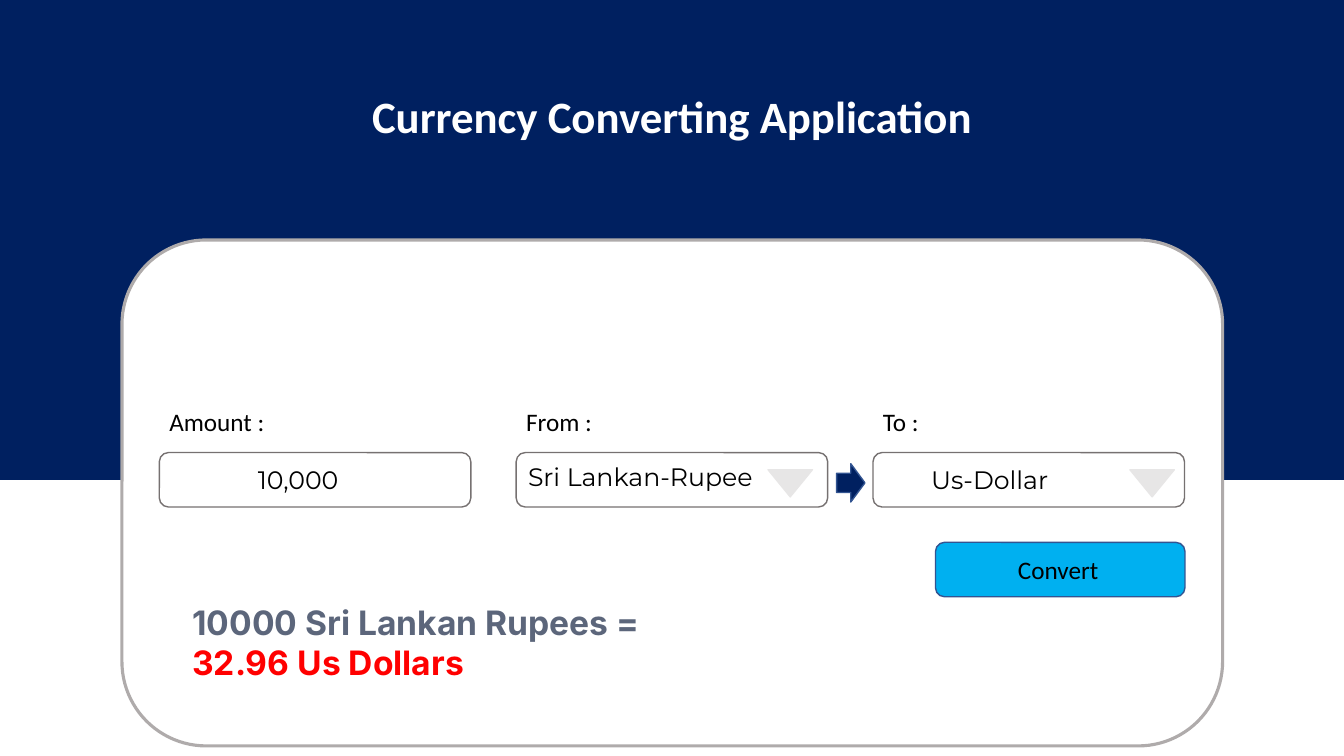
from dataclasses import dataclass
from typing import Any

import pptx
import pptx.dml.color
import pptx.enum.shapes
import pptx.enum.text
import pptx.util

Pt = pptx.util.Pt
RGBColor = pptx.dml.color.RGBColor
Preset = pptx.enum.shapes.MSO_SHAPE
Align = pptx.enum.text.PP_ALIGN

NAVY = RGBColor(0x00, 0x20, 0x60)
WHITE = RGBColor(0xFF, 0xFF, 0xFF)
BLACK = RGBColor(0x00, 0x00, 0x00)
CARD_EDGE = RGBColor(0xAF, 0xAB, 0xAB)
FIELD_EDGE = RGBColor(0x76, 0x71, 0x71)
BLUE_EDGE = RGBColor(0x32, 0x54, 0x91)
SKY = RGBColor(0x00, 0xB0, 0xF0)
PALE = RGBColor(0xE7, 0xE6, 0xE6)
SLATE = RGBColor(0x5C, 0x66, 0x7B)
RED = RGBColor(0xFF, 0x00, 0x00)

FIELD_LEFT, FIELD_STEP, FIELD_TOP = 113.8, 254.9, 323.3
FIELD_WIDTH, FIELD_HEIGHT = 222.5, 38.9
LABEL_TOP, LABEL_WIDTH, LINE_HEIGHT = 286.6, 167, 29

FRAME = {
    "word_wrap": True,
    "auto_size": pptx.enum.text.MSO_AUTO_SIZE.SHAPE_TO_FIT_TEXT,
    "vertical_anchor": pptx.enum.text.MSO_ANCHOR.TOP,
}
LABEL = {"name": "Calibri", "size": Pt(18), "bold": False}
VALUE = {**LABEL, "name": "Montserrat"}
RESULT = {"name": "Inter", "size": Pt(24), "bold": True}
HEADING = {"name": "Calibri", "size": Pt(32), "bold": True}
HEADING_PARA = {
    "alignment": Align.CENTER,
    "line_spacing": 1.1,
    "space_before": Pt(0),
    "space_after": Pt(6),
}


@dataclass(frozen=True)
class Area:
    left: float
    top: float
    width: float
    height: float


@dataclass(frozen=True)
class Field:
    label: str
    value: str
    value_area: Area


FIELDS = [
    Field("Amount :", "10,000", Area(177.1, 328.3, 98.6, LINE_HEIGHT)),
    Field("From :", "Sri Lankan-Rupee", Area(370.1, 326.2, 198.7, LINE_HEIGHT)),
    Field("To :", "Us-Dollar", Area(658.1, 328.3, 124.6, LINE_HEIGHT)),
]
DROPDOWN_LEFTS = [548.6, 807.1]


def apply(target: Any, values: dict[str, Any]) -> None:
    for name, value in values.items():
        setattr(target, name, value)


def place(area: Area) -> tuple[int, ...]:
    return tuple(Pt(n) for n in (area.left, area.top, area.width, area.height))


def add_panel(page: Any, preset: Any, area: Area, fill: RGBColor,
              edge: RGBColor, weight: float = 1, rotation: float = 0) -> Any:
    panel = page.shapes.add_shape(preset, *place(area))
    panel.shadow.inherit = False
    panel.rotation = rotation
    panel.fill.solid()
    panel.fill.fore_color.rgb = fill
    panel.line.color.rgb = edge
    panel.line.width = Pt(weight)
    return panel


def write(box: Any, lines: list[tuple[str, RGBColor]], font: dict[str, Any],
          para_format: dict[str, Any]) -> None:
    frame = box.text_frame
    apply(frame, FRAME)
    for index, (text, color) in enumerate(lines):
        para = frame.add_paragraph() if index else frame.paragraphs[0]
        apply(para, para_format)
        span = para.add_run()
        span.text = text
        apply(span.font, font)
        span.font.color.rgb = color


def add_text(page: Any, area: Area, lines: list[tuple[str, RGBColor]],
             font: dict[str, Any]) -> None:
    write(page.shapes.add_textbox(*place(area)), lines, font, {"alignment": Align.LEFT})


def add_header(page: Any) -> None:
    """Put the title in front of the navy band."""
    band = add_panel(page, Preset.RECTANGLE, Area(0, 0, 960, 342.7), NAVY, NAVY)
    title = page.shapes.title
    title.element.addprevious(band.element)
    left, top, width, height = place(Area(152.6, 56.2, 655.2, 47.5))
    apply(title, {"left": left, "top": top, "width": width, "height": height})
    write(title, [("Currency Converting Application", WHITE)], HEADING, HEADING_PARA)


def add_form(page: Any) -> None:
    add_panel(page, Preset.ROUNDED_RECTANGLE, Area(87.1, 171.4, 786.2, 361.4),
              WHITE, CARD_EDGE, 2.25)
    for index, field in enumerate(FIELDS):
        left = FIELD_LEFT + index * FIELD_STEP
        add_panel(page, Preset.ROUNDED_RECTANGLE,
                  Area(left, FIELD_TOP, FIELD_WIDTH, FIELD_HEIGHT), WHITE, FIELD_EDGE)
        add_text(page, Area(left, LABEL_TOP, LABEL_WIDTH, LINE_HEIGHT),
                 [(field.label, BLACK)], LABEL)
    add_panel(page, Preset.RIGHT_ARROW, Area(597.6, 331.2, 20.2, 27.4), NAVY, BLUE_EDGE)
    add_panel(page, Preset.ROUNDED_RECTANGLE, Area(668.2, 387.4, 178.2, FIELD_HEIGHT),
              SKY, BLUE_EDGE)
    add_text(page, Area(720, 392.4, 108.7, LINE_HEIGHT), [("Convert", BLACK)], LABEL)
    for left in DROPDOWN_LEFTS:
        add_panel(page, Preset.ISOSCELES_TRIANGLE, Area(left, 335.5, 31.7, 19.4),
                  PALE, PALE, rotation=180)
    for field in FIELDS:
        add_text(page, field.value_area, [(field.value, BLACK)], VALUE)
    add_text(page, Area(130.3, 426.2, 383.8, 65.5),
             [("10000 Sri Lankan Rupees =", SLATE), ("32.96 Us Dollars", RED)], RESULT)


def main() -> None:
    deck = pptx.Presentation()
    apply(deck, {"slide_width": Pt(960), "slide_height": Pt(540)})
    page = deck.slides.add_slide(deck.slide_layouts.get_by_name("Title Only"))
    add_header(page)
    add_form(page)
    deck.save("out.pptx")


if __name__ == "__main__":
    main()
